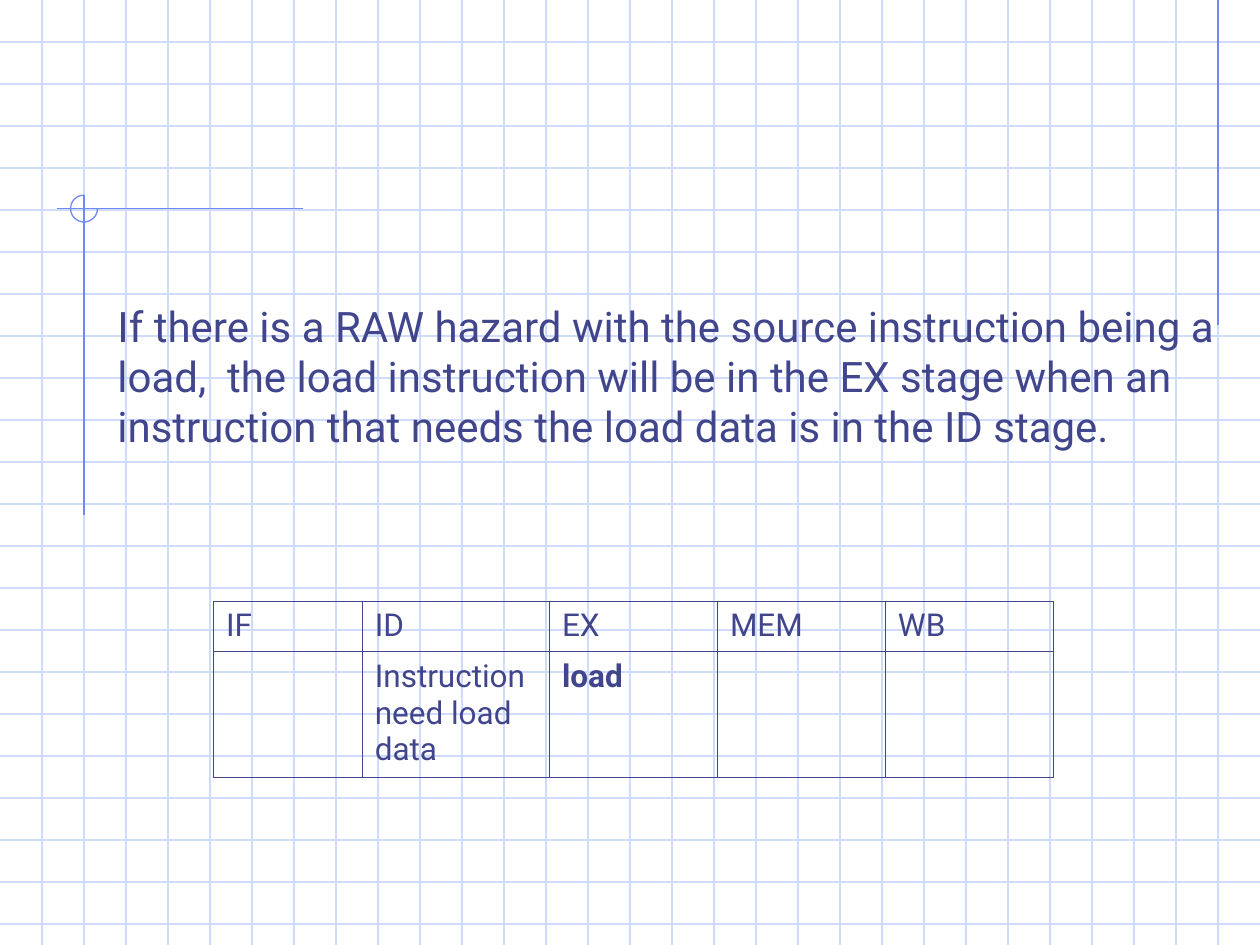
import pptx
import pptx.util
import pptx.dml.color
import pptx.enum.shapes
import pptx.oxml.ns
import lxml.etree

Pt = pptx.util.Pt
RGBColor = pptx.dml.color.RGBColor
qn = pptx.oxml.ns.qn

PALE = RGBColor(0xCF, 0xDB, 0xFD)
BLUE = RGBColor(0x6F, 0x89, 0xF7)
INK = RGBColor(0x40, 0x45, 0x8C)
FONT = "Roboto"
WIDE, HIGH, STEP = 720, 540, 24

deck = pptx.Presentation()
deck.slide_width = Pt(WIDE)
deck.slide_height = Pt(HIGH)
slide = deck.slides.add_slide(deck.slide_layouts[6])


def rule(x1, y1, x2, y2, color):
    line = slide.shapes.add_connector(
        pptx.enum.shapes.MSO_CONNECTOR.STRAIGHT, Pt(x1), Pt(y1), Pt(x2), Pt(y2))
    line.line.color.rgb = color
    line.line.width = Pt(0.75)
    props = line.element.find(qn("p:spPr"))
    lxml.etree.SubElement(props, qn("a:effectLst"))


def style(frame, size, bold=False):
    for par in frame.paragraphs:
        for font in [par.font] + [run.font for run in par.runs]:
            font.name = FONT
            font.size = Pt(size)
            font.bold = bold
            font.color.rgb = INK


for y in range(STEP, HIGH, STEP):
    rule(0, y, WIDE, y, PALE)
for x in range(STEP, WIDE, STEP):
    rule(x, 0, x, HIGH, PALE)

rule(696, 0, 696, 186, BLUE)
rule(173, 119.2, 32.5, 119.2, BLUE)
rule(48, 111.5, 48, 294.5, BLUE)

arc = slide.shapes.add_shape(
    pptx.enum.shapes.MSO_SHAPE.ARC, Pt(40.3), Pt(111.5), Pt(15.4), Pt(15.4))
arc.adjustments[0] = 0
arc.adjustments[1] = 162
arc.shadow.inherit = False
arc.fill.background()
arc.line.color.rgb = BLUE
arc.line.width = Pt(0.75)

note = slide.shapes.add_textbox(Pt(60), Pt(168), Pt(646.5), Pt(122.4)).text_frame
note.word_wrap = True
note.text = (
    "If there is a RAW hazard with the source instruction being a load,  "
    "the load instruction will be in the EX stage when an instruction "
    "that needs the load data is in the ID stage.")
style(note, 24)

rows = [
    ["IF", "ID", "EX", "MEM", "WB"],
    ["", "Instruction need load data", "load", "", ""],
]
widths = [85, 107, 96, 96, 96]
heights = [28.8, 72]
table = slide.shapes.add_table(
    len(rows), len(widths), Pt(122), Pt(343.5), Pt(sum(widths)), Pt(sum(heights))).table
table.first_row = False
table.horz_banding = False
for col, width in zip(table.columns, widths):
    col.width = Pt(width)
for row, height, words in zip(table.rows, heights, rows):
    row.height = Pt(height)
    for cell, word in zip(row.cells, words):
        cell.text_frame.text = word
        style(cell.text_frame, 18, word == "load")
        props = cell._tc.get_or_add_tcPr()
        for side in ("a:lnL", "a:lnR", "a:lnT", "a:lnB"):
            edge = lxml.etree.SubElement(props, qn(side), w=str(Pt(0.45)))
            fill = lxml.etree.SubElement(edge, qn("a:solidFill"))
            lxml.etree.SubElement(fill, qn("a:srgbClr"), val=str(INK))
        cell.fill.background()

deck.save("out.pptx")
